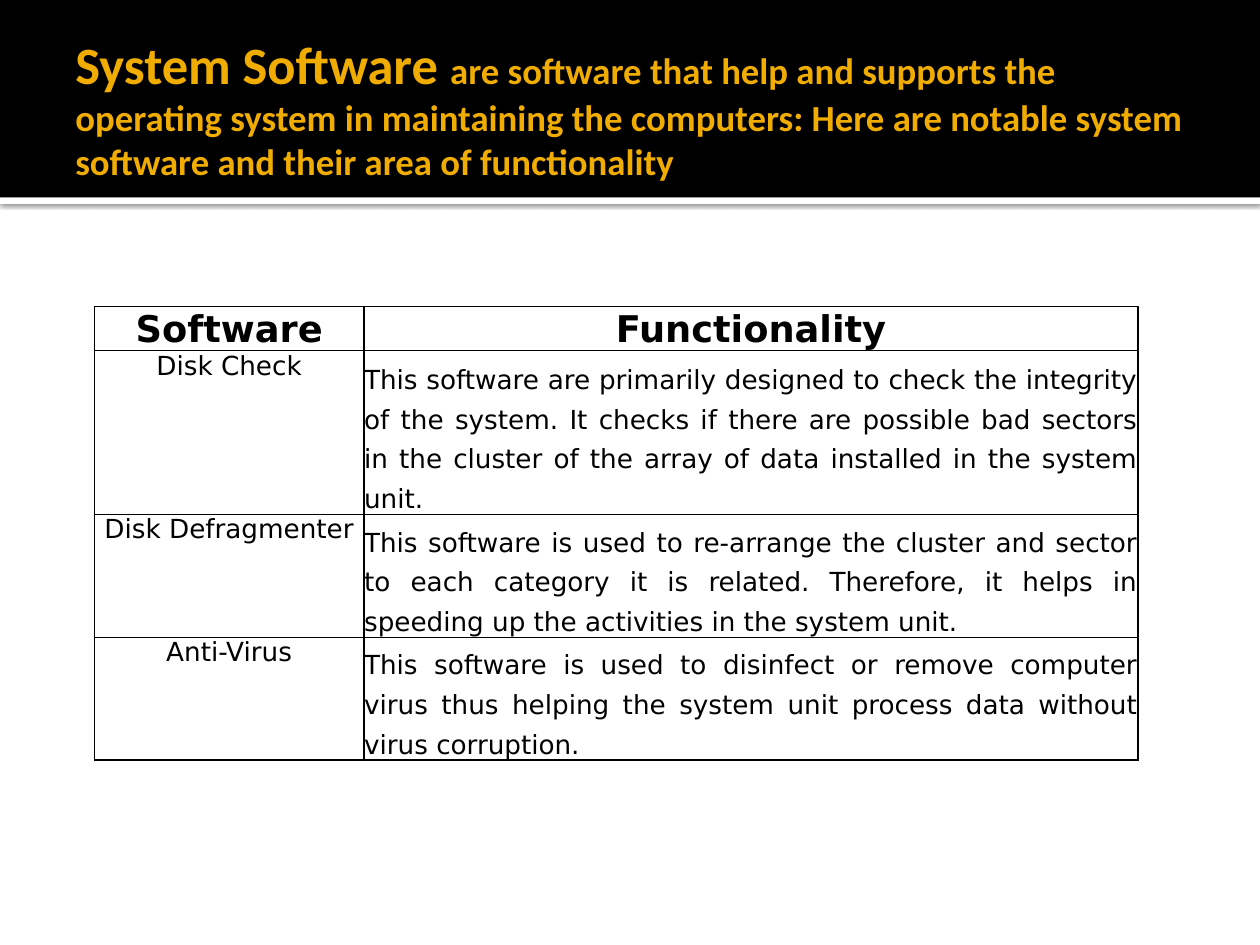
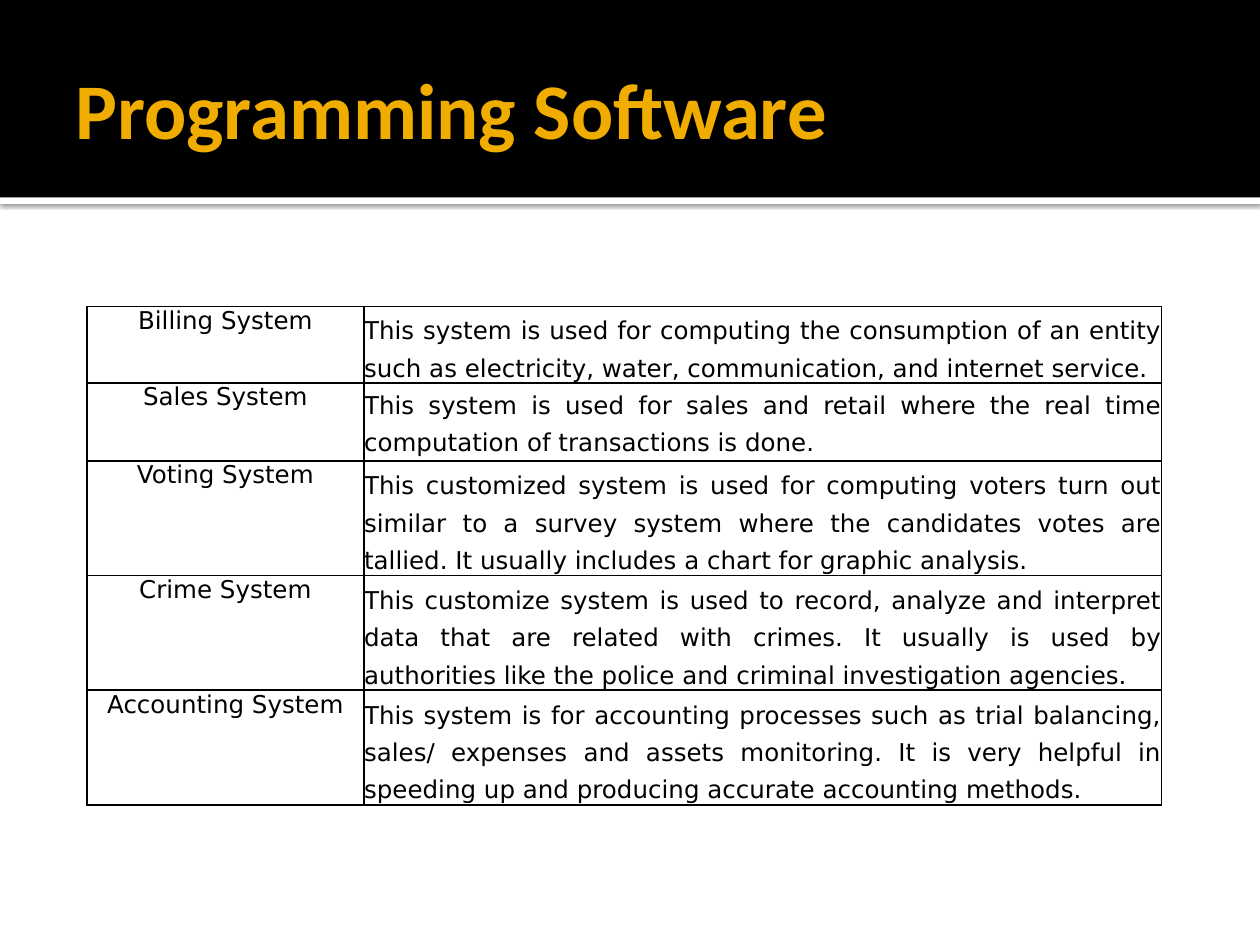
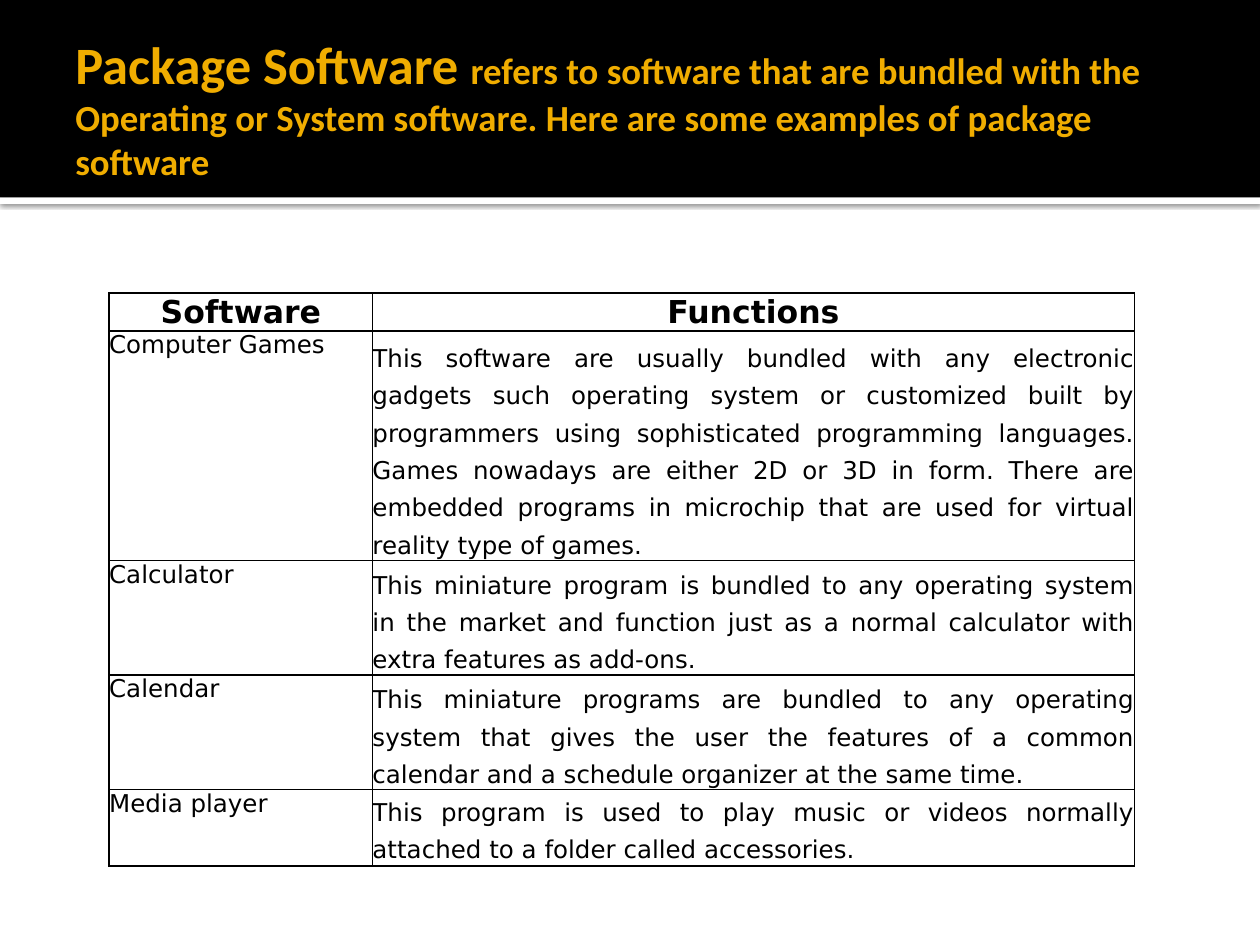
from dataclasses import dataclass

import lxml.etree
import pptx
import pptx.dml.color
import pptx.enum.shapes
import pptx.enum.text
import pptx.oxml
import pptx.oxml.ns
import pptx.slide
import pptx.table
import pptx.text.text
import pptx.util

Cm = pptx.util.Cm
Align = pptx.enum.text.PP_ALIGN
Anchor = pptx.enum.text.MSO_ANCHOR

BLACK = "000000"
WHITE = "FFFFFF"
GOLD = "F0AD00"
TITLE_FONT = "Calibri"
TABLE_FONT = "DejaVu Sans"
PAGE_WIDTH = 25.4
PAGE_HEIGHT = 19.05
HEADER_HEIGHT = 3.98
STRIP_HEIGHT = 0.13


@dataclass(frozen=True)
class Span:
    text: str
    size: float


@dataclass(frozen=True)
class Row:
    name: str
    description: str
    height: float
    anchor: Anchor = Anchor.BOTTOM


@dataclass(frozen=True)
class SoftwarePage:
    title: list[Span]
    left: float
    top: float
    columns: tuple[float, float]
    rows: list[Row]
    body_size: float
    heading: Row | None = None
    heading_size: float = 0
    name_align: Align = Align.CENTER


PAGES = [
    SoftwarePage(
        title=[
            Span("System Software ", 30),
            Span("are software that help and supports the operating system in maintaining "
                 "the computers: Here are notable system software and their area of functionality", 21),
        ],
        left=1.9, top=6.18, columns=(5.44, 15.6), body_size=15,
        heading=Row("Software", "Functionality", 0.89), heading_size=21,
        rows=[
            Row("Disk Check",
                "This software are primarily designed to check the integrity of the system. "
                "It checks if there are possible bad sectors in the cluster of the array of data "
                "installed in the system unit.", 3.2),
            Row("Disk Defragmenter",
                "This software is used to re-arrange the cluster and sector to each category "
                "it is related. Therefore, it helps in speeding up the activities in the system unit.", 2.39),
            Row("Anti-Virus",
                "This software is used to disinfect or remove computer virus thus helping the "
                "system unit process data without virus corruption.", 2.39),
        ],
    ),
    SoftwarePage(
        title=[Span("Programming Software", 45)],
        left=1.75, top=6.18, columns=(5.59, 16.08), body_size=14,
        rows=[
            Row("Billing System",
                "This system is used for computing the consumption of an entity such as "
                "electricity, water, communication, and internet service.", 1.4),
            Row("Sales System",
                "This system is used for sales and retail where the real time computation "
                "of transactions is done.", 1.57, Anchor.TOP),
            Row("Voting System",
                "This customized system is used for computing voters turn out similar to a "
                "survey system where the candidates votes are tallied. It usually includes a "
                "chart for graphic analysis.", 2.13),
            Row("Crime System",
                "This customize system is used to record, analyze and interpret data that are "
                "related with crimes. It usually is used by authorities like the police and "
                "criminal investigation agencies.", 2.13),
            Row("Accounting System",
                "This system is for accounting processes such as trial balancing, sales/ expenses "
                "and assets monitoring. It is very helpful in speeding up and producing accurate "
                "accounting methods.", 2.13),
        ],
    ),
    SoftwarePage(
        title=[
            Span("Package Software ", 30),
            Span("refers to software that are bundled with the Operating or System software. "
                 "Here are some examples of package software", 21),
        ],
        left=2.2, top=5.91, columns=(5.31, 15.36), body_size=14,
        heading=Row("Software", "Functions", 0.76), heading_size=18,
        name_align=Align.LEFT,
        rows=[
            Row("Computer Games",
                "This software are usually bundled with any electronic gadgets such operating "
                "system or customized built by programmers using sophisticated programming "
                "languages. Games nowadays are either 2D or 3D in form. There are embedded "
                "programs in microchip that are used for virtual reality type of games.", 3.63),
            Row("Calculator",
                "This miniature program is bundled to any operating system in the market and "
                "function just as a normal calculator with extra features as add-ons.", 2.13),
            Row("Calendar",
                "This miniature programs are bundled to any operating system that gives the user "
                "the features of a common calendar and a schedule organizer at the same time.", 2.13),
            Row("Media player",
                "This program is used to play music or videos normally attached to a folder "
                "called accessories.", 1.4, Anchor.TOP),
        ],
    ),
]


def color(value: str) -> pptx.dml.color.RGBColor:
    return pptx.dml.color.RGBColor.from_string(value)


def add_span(para: pptx.text.text._Paragraph, span: Span, font: str, ink: str, bold: bool) -> None:
    run = para.add_run()
    run.text = span.text
    run.font.name = font
    run.font.size = pptx.util.Pt(span.size)
    run.font.bold = bold
    run.font.color.rgb = color(ink)


def add_band(page: pptx.slide.Slide, top: float, height: float, fill: str, shadow: bool = False) -> None:
    band = page.shapes.add_shape(
        pptx.enum.shapes.MSO_SHAPE.RECTANGLE, 0, Cm(top), Cm(PAGE_WIDTH), Cm(height))
    band.fill.solid()
    band.fill.fore_color.rgb = color(fill)
    band.line.fill.background()
    band.shadow.inherit = False
    if shadow:
        effects = band.element.spPr.find(pptx.oxml.ns.qn("a:effectLst"))
        effects.append(pptx.oxml.parse_xml(
            f'<a:outerShdw {pptx.oxml.ns.nsdecls("a")} blurRad="31750" dist="10160" dir="5400000" '
            f'algn="tl" rotWithShape="0"><a:srgbClr val="{BLACK}"><a:alpha val="60000"/>'
            '</a:srgbClr></a:outerShdw>'))


def add_title(page: pptx.slide.Slide, spans: list[Span]) -> None:
    box = page.shapes.add_textbox(Cm(1.27), Cm(0.43), Cm(22.86), Cm(3.48))
    frame = box.text_frame
    frame.word_wrap = True
    frame.vertical_anchor = Anchor.MIDDLE
    frame.margin_left = Cm(0.25)
    frame.margin_right = frame.margin_top = frame.margin_bottom = Cm(0.13)
    for span in spans:
        add_span(frame.paragraphs[0], span, TITLE_FONT, GOLD, True)


def add_borders(cell: pptx.table._Cell) -> None:
    properties = cell._tc.get_or_add_tcPr()
    for position, side in enumerate(("lnL", "lnR", "lnT", "lnB")):
        properties.insert(position, pptx.oxml.parse_xml(
            f'<a:{side} {pptx.oxml.ns.nsdecls("a")} w="12700"><a:solidFill>'
            f'<a:srgbClr val="{BLACK}"/></a:solidFill></a:{side}>'))


def add_end_style(para: pptx.text.text._Paragraph, size: float, font: str) -> None:
    qn = pptx.oxml.ns.qn
    end = lxml.etree.SubElement(para._p, qn("a:endParaRPr"), sz=str(round(size * 100)))
    lxml.etree.SubElement(end, qn("a:latin"), typeface=font)


def fill_cell(cell: pptx.table._Cell, span: Span, align: Align, anchor: Anchor,
              bold: bool = False, spacing: float | None = None) -> None:
    cell.fill.background()
    add_borders(cell)
    cell.margin_left = cell.margin_right = cell.margin_top = cell.margin_bottom = 0
    cell.vertical_anchor = anchor
    para = cell.text_frame.paragraphs[0]
    para.alignment = align
    para.line_spacing = spacing
    add_span(para, span, TABLE_FONT, BLACK, bold)
    add_end_style(para, span.size, TABLE_FONT)


def add_software_table(page: pptx.slide.Slide, content: SoftwarePage) -> None:
    rows = ([content.heading] if content.heading else []) + content.rows
    table = page.shapes.add_table(
        len(rows), len(content.columns), Cm(content.left), Cm(content.top),
        Cm(sum(content.columns)), Cm(sum(row.height for row in rows))).table
    table.first_row = table.horz_banding = False
    for column, width in zip(table.columns, content.columns):
        column.width = Cm(width)
    for index, row in enumerate(rows):
        table.rows[index].height = Cm(row.height)
        name, description = table.cell(index, 0), table.cell(index, 1)
        if row is content.heading:
            for cell, text in ((name, row.name), (description, row.description)):
                fill_cell(cell, Span(text, content.heading_size), Align.CENTER, row.anchor, bold=True)
        else:
            fill_cell(name, Span(row.name, content.body_size), content.name_align, Anchor.TOP)
            fill_cell(description, Span(row.description, content.body_size),
                      Align.JUSTIFY, row.anchor, spacing=1.3)


def main() -> None:
    deck = pptx.Presentation()
    deck.slide_width = Cm(PAGE_WIDTH)
    deck.slide_height = Cm(PAGE_HEIGHT)
    for content in PAGES:
        page = deck.slides.add_slide(deck.slide_layouts[6])
        add_band(page, HEADER_HEIGHT, STRIP_HEIGHT, WHITE, shadow=True)
        add_band(page, 0, HEADER_HEIGHT, BLACK)
        add_title(page, content.title)
        add_software_table(page, content)
    deck.save("out.pptx")


if __name__ == "__main__":
    main()
